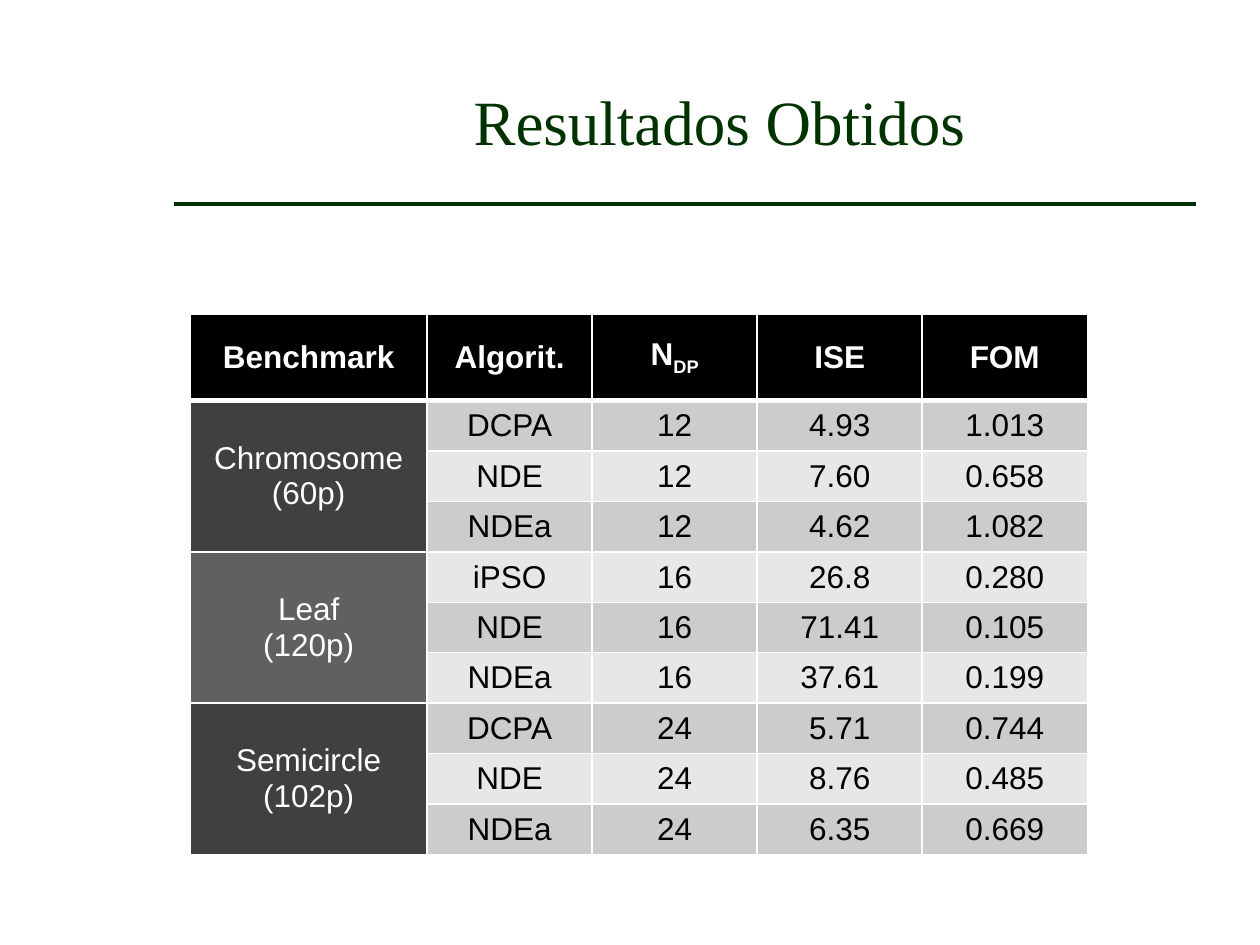
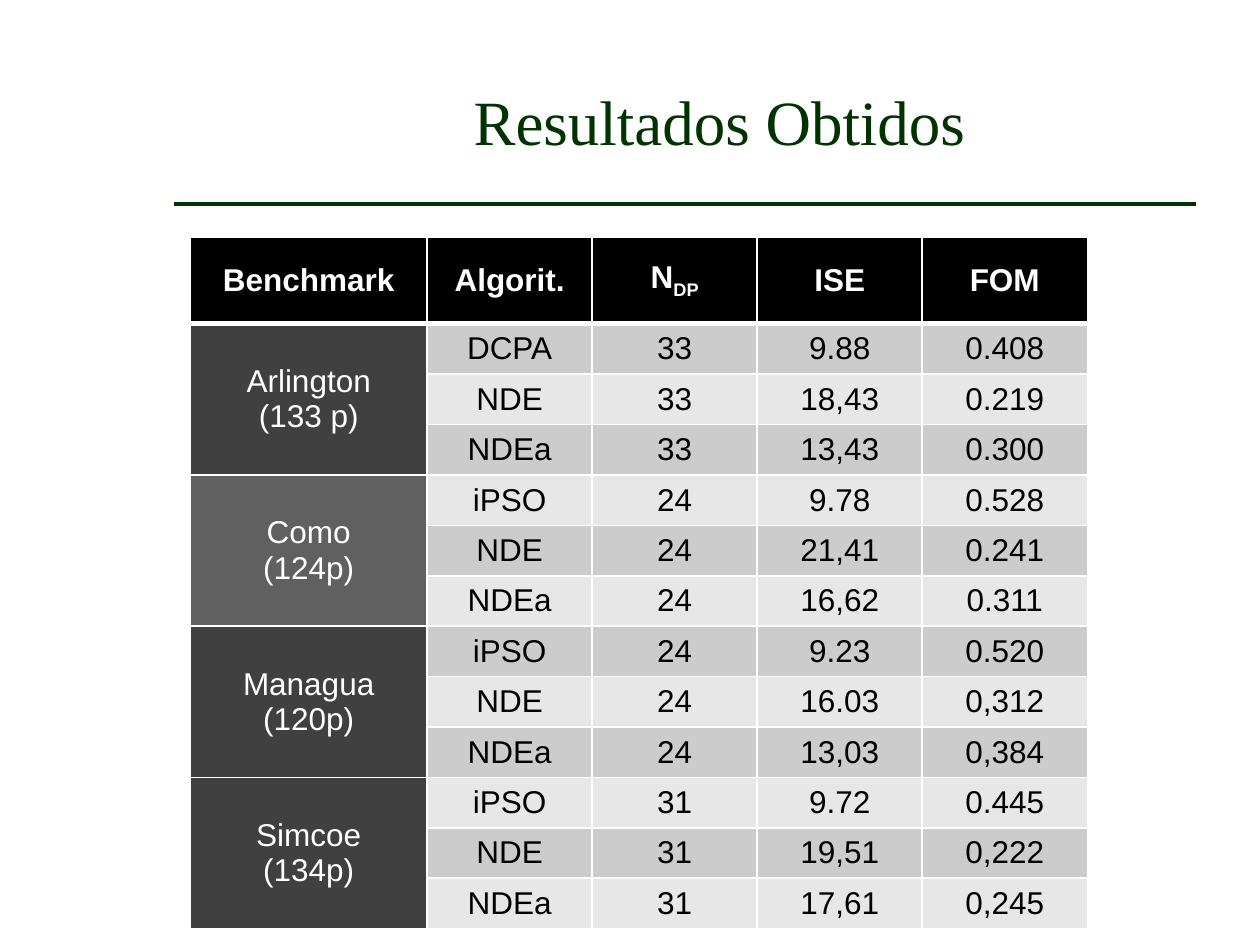
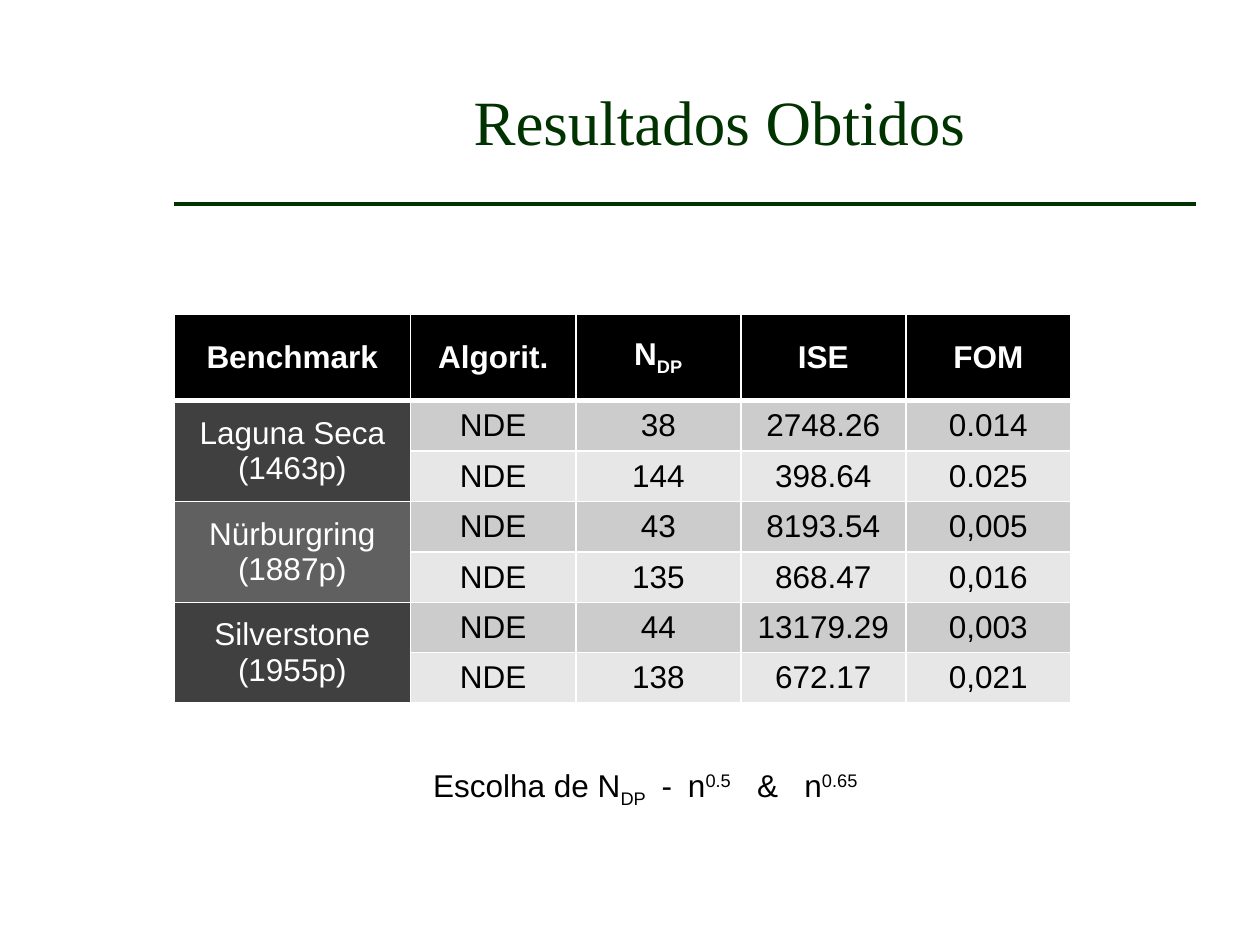
from dataclasses import dataclass

from lxml import etree
from pptx import Presentation
from pptx.dml.color import RGBColor
from pptx.enum import shapes, text
from pptx.oxml import ns
from pptx.util import Inches, Pt


@dataclass(frozen=True)
class Theme:
    green: str = "003300"
    white: str = "FFFFFF"
    black: str = "000000"
    bands: tuple = ("CCCCCC", "E7E7E7")
    benchmark: str = "404040"
    benchmark_light: str = "606060"
    title_font: str = "Times New Roman"
    body_font: str = "Arial"
    title_size: int = 36
    body_size: int = 18


THEME = Theme()
TITLE = "Resultados Obtidos"
TITLE_BOX = (2, 0.33, 7.42, 1.25)
RULE = (1.38, 1.62, 9.49)  # left, y, right
SUBSCRIPT, SUPERSCRIPT = {"baseline": -25000}, {"baseline": 30000}
HEADINGS = ("Benchmark", "Algorit.", (("N", {}), ("DP", SUBSCRIPT)), "ISE", "FOM")
COLUMN_WIDTHS = (1.88, 1.31, 1.31, 1.31, 1.31)
HEADER_HEIGHT, ROW_HEIGHT = 0.69, 0.4

# Each benchmark is followed by its rows: algorithm, NDP, ISE, FOM
SMALL_CURVES = (
    ("Chromosome\n(60p)", ("DCPA 12 4.93 1.013", "NDE 12 7.60 0.658", "NDEa 12 4.62 1.082")),
    ("Leaf\n(120p)", ("iPSO 16 26.8 0.280", "NDE 16 71.41 0.105", "NDEa 16 37.61 0.199")),
    ("Semicircle\n(102p)", ("DCPA 24 5.71 0.744", "NDE 24 8.76 0.485", "NDEa 24 6.35 0.669")),
)
LAKES = (
    ("Arlington\v(133 p)", ("DCPA 33 9.88 0.408", "NDE 33 18,43 0.219", "NDEa 33 13,43 0.300")),
    ("Como\n(124p)", ("iPSO 24 9.78 0.528", "NDE 24 21,41 0.241", "NDEa 24 16,62 0.311")),
    ("Managua\n(120p)", ("iPSO 24 9.23 0.520", "NDE 24 16.03 0,312", "NDEa 24 13,03 0,384")),
    ("Simcoe\n(134p)", ("iPSO 31 9.72 0.445", "NDE 31 19,51 0,222", "NDEa 31 17,61 0,245")),
)
CIRCUITS = (
    ("Laguna Seca (1463p)", ("NDE 38 2748.26 0.014", "NDE 144 398.64 0.025")),
    ("Nürburgring\n(1887p)", ("NDE 43 8193.54 0,005", "NDE 135 868.47 0,016")),
    ("Silverstone\n(1955p)", ("NDE 44 13179.29 0,003", "NDE 138 672.17 0,021")),
)
# Character spacing ("spc") widens the gaps around the dash and the ampersand
NDP_CHOICE = (
    ("Escolha de N", {}), ("DP", SUBSCRIPT), (" -", {"spc": 400}), (" n", {}),
    ("0.5", SUPERSCRIPT), (" &", {"spc": 1000}), (" n", {}), ("0.65", SUPERSCRIPT),
)


def write(frame, content, color, font=THEME.body_font, size=THEME.body_size,
          bold=False, align=text.PP_ALIGN.CENTER):
    """Fill a frame with plain text or with (text, run attributes) pairs."""
    if isinstance(content, str):
        frame.text = content
    else:
        for words, attributes in content:
            run = frame.paragraphs[0].add_run()
            run.text = words
            for name, value in attributes.items():
                run.font._element.set(name, str(value))
    for paragraph in frame.paragraphs:
        paragraph.alignment = align
        for run in paragraph.runs:
            run.font.name, run.font.size, run.font.bold = font, Pt(size), bold
            run.font.color.rgb = RGBColor.from_string(color)


def add_borders(cell, top, bottom):
    properties = cell._tc.get_or_add_tcPr()
    sides = (("lnL", 1), ("lnR", 1), ("lnT", top), ("lnB", bottom))
    for position, (side, points) in enumerate(sides):
        border = etree.Element(ns.qn(f"a:{side}"), w=str(Pt(points)))
        fill = etree.SubElement(border, ns.qn("a:solidFill"))
        etree.SubElement(fill, ns.qn("a:srgbClr"), val=THEME.white)
        properties.insert(position, border)


def style_cell(cell, content, fill, color, bold=False, top=1, bottom=1):
    write(cell.text_frame, content, color, bold=bold)
    cell.vertical_anchor = text.MSO_ANCHOR.MIDDLE
    cell.fill.solid()
    cell.fill.fore_color.rgb = RGBColor.from_string(fill)
    add_borders(cell, top, bottom)


def add_results_table(slide, left, top, groups):
    row_count = sum(len(rows) for _, rows in groups)
    table = slide.shapes.add_table(
        row_count + 1, len(HEADINGS), Inches(left), Inches(top),
        Inches(sum(COLUMN_WIDTHS)), Inches(HEADER_HEIGHT + row_count * ROW_HEIGHT)).table
    for column, width in zip(table.columns, COLUMN_WIDTHS):
        column.width = Inches(width)
    for number, row in enumerate(table.rows):
        row.height = Inches(ROW_HEIGHT if number else HEADER_HEIGHT)

    # Header
    for column, heading in enumerate(HEADINGS):
        style_cell(table.cell(0, column), heading, THEME.black, THEME.white, bold=True, bottom=3)

    # Benchmarks, each one merged over the rows of its algorithms
    first = 1
    for index, (benchmark, rows) in enumerate(groups):
        shade = THEME.benchmark_light if index == 1 else THEME.benchmark
        for number, row in enumerate(rows, first):
            edge = 3 if number == 1 else 1
            style_cell(table.cell(number, 0), benchmark if number == first else "",
                       shade, THEME.white, top=edge)
            for column, value in enumerate(row.split(), 1):
                style_cell(table.cell(number, column), value,
                           THEME.bands[(number - 1) % 2], THEME.black, top=edge)
        last = first + len(rows) - 1
        table.cell(first, 0).merge(table.cell(last, 0))
        first = last + 1


def add_title(slide):
    title = slide.shapes.title
    title.left, title.top, title.width, title.height = map(Inches, TITLE_BOX)
    write(title.text_frame, TITLE, THEME.green, THEME.title_font, THEME.title_size)
    title.text_frame.vertical_anchor = text.MSO_ANCHOR.MIDDLE
    title.text_frame.auto_size = text.MSO_AUTO_SIZE.NONE


def add_rule(slide):
    left, y, right = map(Inches, RULE)
    rule = slide.shapes.add_connector(shapes.MSO_CONNECTOR.STRAIGHT, left, y, right, y)
    rule.line.color.rgb = RGBColor.from_string(THEME.green)
    rule.line.width = Pt(2.25)
    etree.SubElement(rule._element.spPr, ns.qn("a:effectLst"))


def add_ndp_note(slide, left, top, width, height):
    note = slide.shapes.add_textbox(*map(Inches, (left, top, width, height))).text_frame
    note.word_wrap = False
    note.auto_size = text.MSO_AUTO_SIZE.SHAPE_TO_FIT_TEXT
    write(note, NDP_CHOICE, THEME.black, align=text.PP_ALIGN.LEFT)


def add_results_slide(deck, left, top, groups):
    slide = deck.slides.add_slide(deck.slide_layouts[5])
    add_rule(slide)
    add_title(slide)
    add_results_table(slide, left, top, groups)
    return slide


def main():
    deck = Presentation()
    deck.slide_width, deck.slide_height = Inches(10), Inches(7.5)
    add_results_slide(deck, 1.51, 2.49, SMALL_CURVES)
    add_results_slide(deck, 1.51, 1.88, LAKES)
    circuits = add_results_slide(deck, 1.38, 2.49, CIRCUITS)
    add_ndp_note(circuits, 3.34, 6.03, 3.7, 0.4)
    deck.save("out.pptx")


if __name__ == "__main__":
    main()
